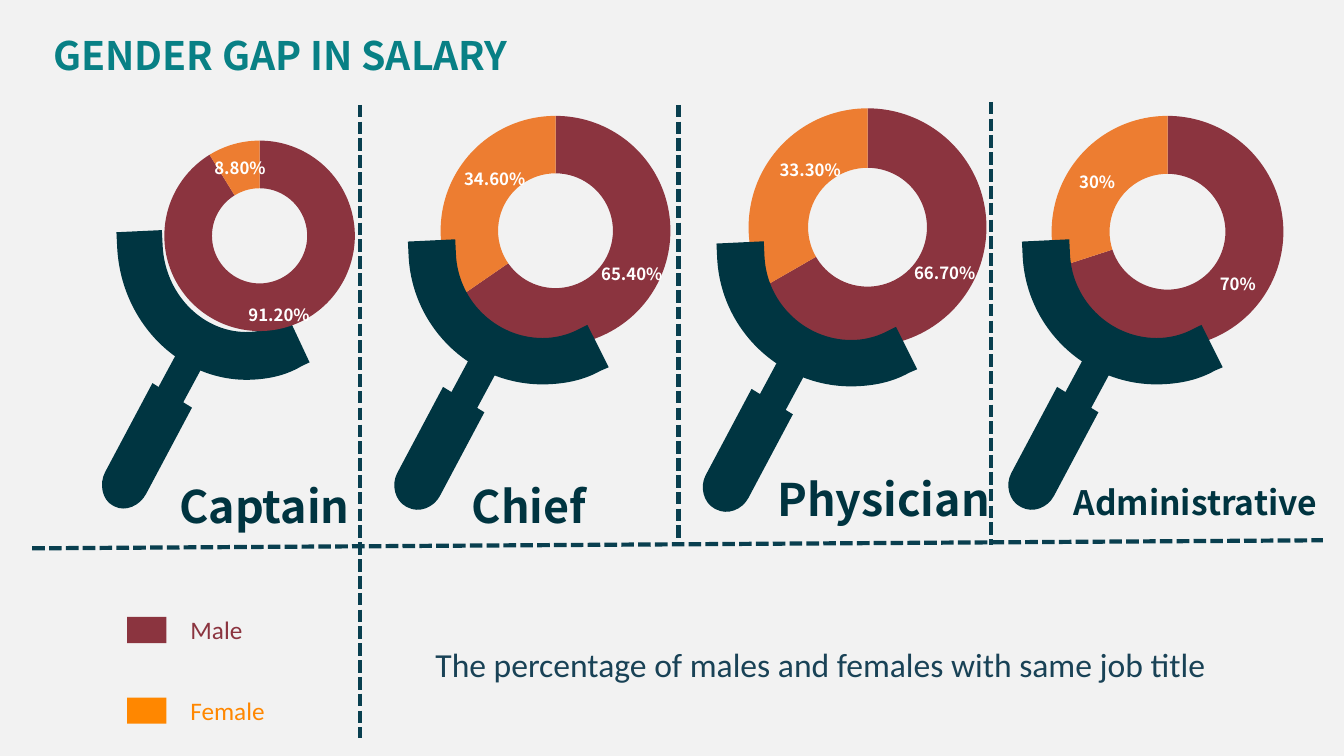
from pptx import Presentation
from pptx.chart.data import CategoryChartData
from pptx.dml.color import RGBColor
from pptx.enum.chart import XL_CHART_TYPE
from pptx.enum.dml import MSO_LINE
from pptx.enum.shapes import MSO_CONNECTOR, MSO_SHAPE
from pptx.enum.text import MSO_AUTO_SIZE
from pptx.oxml import parse_xml
from pptx.oxml.ns import nsdecls
from pptx.util import Inches, Pt

DOUGHNUT = XL_CHART_TYPE.DOUGHNUT
STRAIGHT = MSO_CONNECTOR.STRAIGHT
RECTANGLE = MSO_SHAPE.RECTANGLE
SHORT_DASH = MSO_LINE.SQUARE_DOT
GROW = MSO_AUTO_SIZE.SHAPE_TO_FIT_TEXT

PAPER = RGBColor(0xF2, 0xF2, 0xF2)
GLASS = RGBColor(0x00, 0x35, 0x41)
CAPTION = RGBColor(0x00, 0x34, 0x40)
RULE = RGBColor(0x09, 0x3F, 0x4F)
TEAL = RGBColor(0x08, 0x80, 0x85)
NOTE = RGBColor(0x19, 0x42, 0x56)
WHITE = RGBColor(0xFF, 0xFF, 0xFF)
BLACK = RGBColor(0x00, 0x00, 0x00)
MALE = RGBColor(0x8B, 0x34, 0x3F)
FEMALE = RGBColor(0xED, 0x7D, 0x31)
FEMALE_KEY = RGBColor(0xFF, 0x87, 0x00)
HEADING_FONT, BODY_FONT = "Noto Sans CJK SC", "Calibri"

# Content: one entry per job; label_moves shifts a value label by shares of the chart
JOBS = [
    dict(name="Captain", shares=(0.912, 0.088), digits="0.00%",
         chart=(0.93, 1.14, 3.29, 2.4), ring=1.89, label_moves={0: (0, 0.04)},
         corner=(1.19, 2.26), stretch=(0.96, 1.03), glass_behind=True,
         caption=(1.68, 4.7, 1.93, 0.64), size=32),
    dict(name="Chief", shares=(0.654, 0.346), digits="0.00%",
         chart=(3.59, 1.01, 3.84, 2.56), ring=2.28,
         label_moves={0: (0, 0.01), 1: (0.04, -0.05)},
         corner=(4.08, 2.35), stretch=(1, 1), glass_behind=False,
         caption=(4.58, 4.7, 1.37, 0.64), size=32),
    dict(name="Physician", shares=(0.667, 0.333), digits="0.00%",
         chart=(6.63, 0.94, 3.95, 2.63), ring=2.36, label_moves={1: (0.05, -0.05)},
         corner=(7.14, 2.37), stretch=(1, 1), glass_behind=False,
         caption=(7.61, 4.63, 2.31, 0.64), size=32),
    dict(name="Administrative", shares=(0.7, 0.3), digits="0%",
         chart=(9.64, 1.01, 3.88, 2.58), ring=2.3, label_moves={},
         corner=(10.17, 2.35), stretch=(1, 1), glass_behind=False,
         caption=(10.55, 4.73, 2.7, 0.5), size=24),
]
KEYS = [("Male", MALE, 0.89), ("Female", FEMALE_KEY, 1.13)]
KEY_TOP, KEY_STEP = 6.12, 0.8
RULES = [(3.57, 1.04, 3.57, 7.32), (6.73, 1.04, 6.73, 5.34),
         (9.83, 1.01, 9.83, 5.41), (0.32, 5.44, 13.12, 5.36)]

# Magnifier parts before turning: two numbers make a line, six a curve
HANDLE = [(0, 0), (0.48, 0.03), (0.48, 0.97), (0.48, 1.1, 0.38, 1.22, 0.25, 1.22),
          (0.23, 1.22), (0.11, 1.22, 0, 1.1, 0, 0.97)]
RIM = [(0, 0), (0.47, 0), (0.47, 0.15), (0.47, 0.63, 0.86, 1.02, 1.33, 1.02),
       (1.45, 1.02, 1.57, 0.99, 1.67, 0.94), (1.74, 0.91), (1.93, 1.34), (1.85, 1.37),
       (1.69, 1.45, 1.52, 1.48, 1.33, 1.48), (0.6, 1.48, 0, 0.88, 0, 0.14)]
# Outline, offset from the rim's corner, turn in degrees
OUTLINES = [(HANDLE, (0, 1.53), 28), (RIM, (0, 0), 357.3)]
NECK_OFFSET, NECK_SIZE, NECK_TURN = (0.45, 1.27), (0.3, 0.42), 28.3


def inches(values):
    return [Inches(value) for value in values]


def paint(shape, color):
    shape.fill.solid()
    shape.fill.fore_color.rgb = color
    shape.line.fill.background()
    shape.shadow.inherit = False


def style(font, name, size, color, bold=False):
    font.name, font.size, font.bold = name, Pt(size), bold
    font.color.rgb = color


def add_text(page, text, frame, name, size, color, bold=False, wrap=True):
    box = page.shapes.add_textbox(*inches(frame)).text_frame
    box.word_wrap, box.auto_size = wrap, GROW
    para = box.paragraphs[0]
    para.text = text
    style(para.font, name, size, color, bold)


def bend_curves(shape, outline):
    """Join each run of three line ends that belongs to a curve."""
    lines = iter(shape._element.xpath(".//a:lnTo"))
    for step in outline[1:]:
        ends = [next(lines) for _ in range(len(step) // 2)]
        if len(ends) == 3:
            curve = parse_xml(f'<a:cubicBezTo {nsdecls("a")}/>')
            ends[0].addprevious(curve)
            for end in ends:
                curve.append(end[0])
                end.getparent().remove(end)


def add_magnifier(page, job):
    def place(point):
        return inches(start + value * scale
                      for start, value, scale in zip(job["corner"], point, job["stretch"]))

    parts = page.shapes.add_group_shape().shapes
    for outline, (left, top), turn in OUTLINES:
        points = [place((left + step[i], top + step[i + 1]))
                  for step in outline for i in range(0, len(step), 2)]
        builder = parts.build_freeform(*points[0])
        builder.add_line_segments(points[1:], close=False)
        shape = builder.convert_to_shape()
        shape._element.xpath(".//a:path")[0].append(parse_xml(f'<a:close {nsdecls("a")}/>'))
        bend_curves(shape, outline)
        shape.rotation = turn
        paint(shape, GLASS)
    size = [value * scale for value, scale in zip(NECK_SIZE, job["stretch"])]
    neck = parts.add_shape(RECTANGLE, *place(NECK_OFFSET), *inches(size))
    neck.rotation = NECK_TURN
    paint(neck, GLASS)


def layout_xml(target="", **shares):
    modes = '<c:xMode val="edge"/><c:yMode val="edge"/>' if target else ""
    values = "".join(f'<c:{key} val="{share:.4f}"/>' for key, share in shares.items())
    return parse_xml(f'<c:layout {nsdecls("c")}><c:manualLayout>{target}{modes}{values}'
                     '</c:manualLayout></c:layout>')


def add_ring(page, job):
    data = CategoryChartData()
    data.categories = ["1", "2"]
    data.add_series("Series 1", [*job["shares"], None, None])
    chart = page.shapes.add_chart(DOUGHNUT, *inches(job["chart"]), data).chart
    chart.has_legend = chart.has_title = False
    style(chart.font, BODY_FONT, 10, BLACK)
    plot = chart.plots[0]
    plot.vary_by_categories = True
    series = plot.series[0]
    labels = series.data_labels
    labels.show_value = True
    labels.number_format, labels.number_format_is_linked = job["digits"], False
    style(labels.font, HEADING_FONT, 12, WHITE, True)
    for index, color in enumerate((MALE, FEMALE)):
        point = series.points[index]
        point.format.fill.solid()
        point.format.fill.fore_color.rgb = color
        point.format.line.fill.background()
    for index in job["label_moves"]:
        style(series.points[index].data_label.font, HEADING_FONT, 12, WHITE, True)
    # Moved labels keep the number format
    for label, (x, y) in zip(chart.element.xpath(".//c:dLbl"), job["label_moves"].values()):
        label.insert(1, layout_xml(x=x, y=y))
        label.insert(2, parse_xml(f'<c:numFmt {nsdecls("c")} formatCode="{job["digits"]}" '
                                  'sourceLinked="0"/>'))
    # Ring centred in its frame
    area = chart.element.xpath(".//c:plotArea")[0]
    for old in area.xpath("./c:layout"):
        area.remove(old)
    w, h = (job["ring"] / side for side in job["chart"][2:])
    area.insert(0, layout_xml('<c:layoutTarget val="inner"/>',
                              x=(1 - w) / 2, y=(1 - h) / 2, w=w, h=h))
    chart.element.xpath(".//c:holeSize")[0].set("val", "55")


def main():
    deck = Presentation()
    deck.slide_width, deck.slide_height = Inches(13.33), Inches(7.5)
    page = deck.slides.add_slide(deck.slide_layouts[6])
    page.background.fill.solid()
    page.background.fill.fore_color.rgb = PAPER

    # Rings and magnifiers
    for job in JOBS:
        parts = (add_magnifier, add_ring) if job["glass_behind"] else (add_ring, add_magnifier)
        for add_part in parts:
            add_part(page, job)

    # Dashed rules
    for ends in RULES:
        rule = page.shapes.add_connector(STRAIGHT, *inches(ends))
        rule.line.color.rgb, rule.line.width = RULE, Pt(3)
        rule.line.dash_style = SHORT_DASH
        rule._element.spPr.append(parse_xml(f'<a:effectLst {nsdecls("a")}/>'))

    # Job captions
    for job in JOBS:
        add_text(page, job["name"], job["caption"], HEADING_FONT, job["size"], CAPTION,
                 bold=True, wrap=False)

    # Colour key
    for row, (name, color, width) in enumerate(KEYS):
        top = KEY_TOP + row * KEY_STEP
        paint(page.shapes.add_shape(RECTANGLE, *inches((1.26, top, 0.39, 0.26))), color)
        add_text(page, name, (1.79, top - 0.07, width, 0.4), BODY_FONT, 18, color)

    # Note and title
    add_text(page, "The percentage of males and females with same job title",
             (4.22, 6.34, 8.84, 0.5), BODY_FONT, 24, NOTE)
    add_text(page, "GENDER GAP IN SALARY", (0.43, 0.26, 5.28, 0.57), HEADING_FONT, 28, TEAL,
             bold=True, wrap=False)
    deck.save("out.pptx")


if __name__ == "__main__":
    main()
